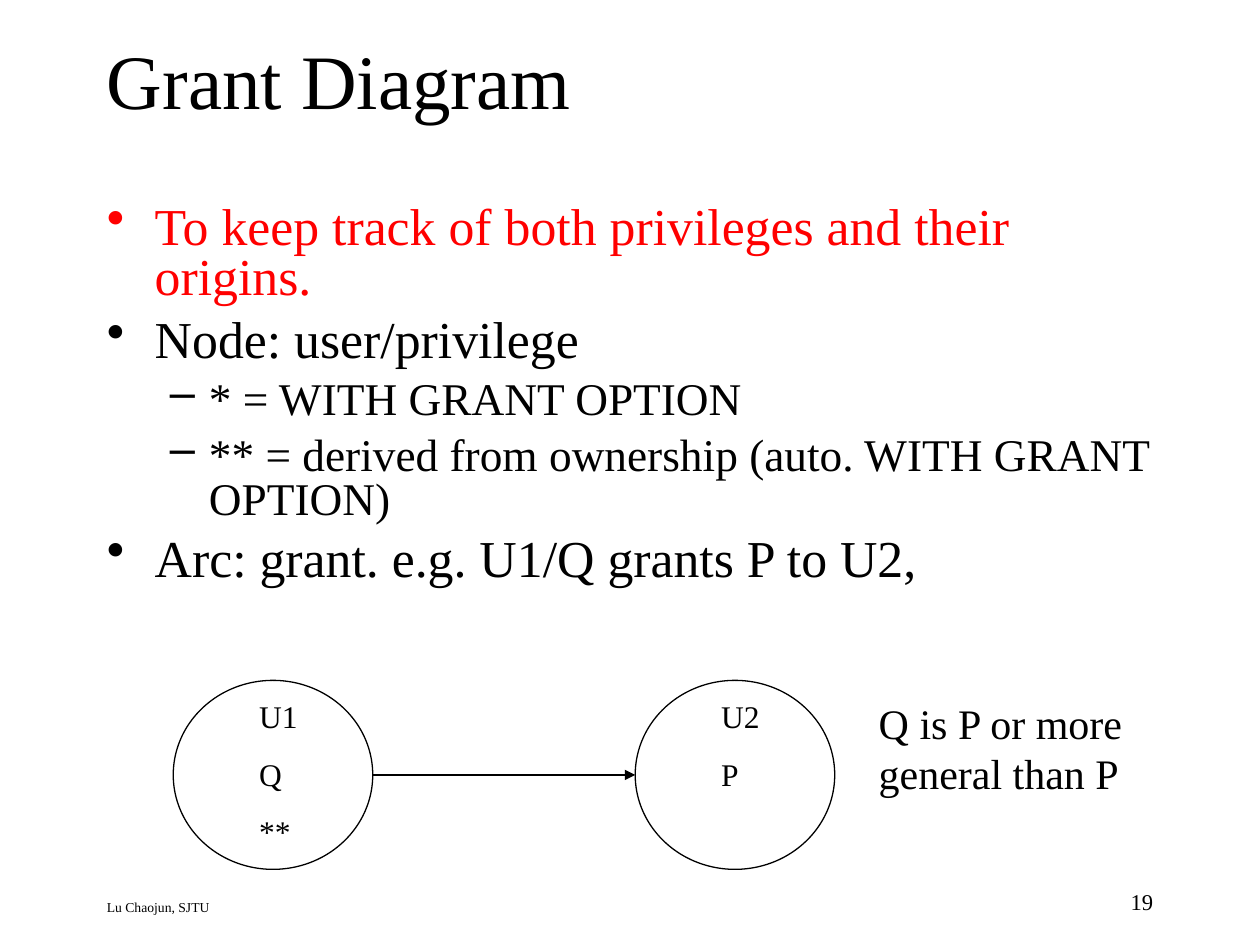
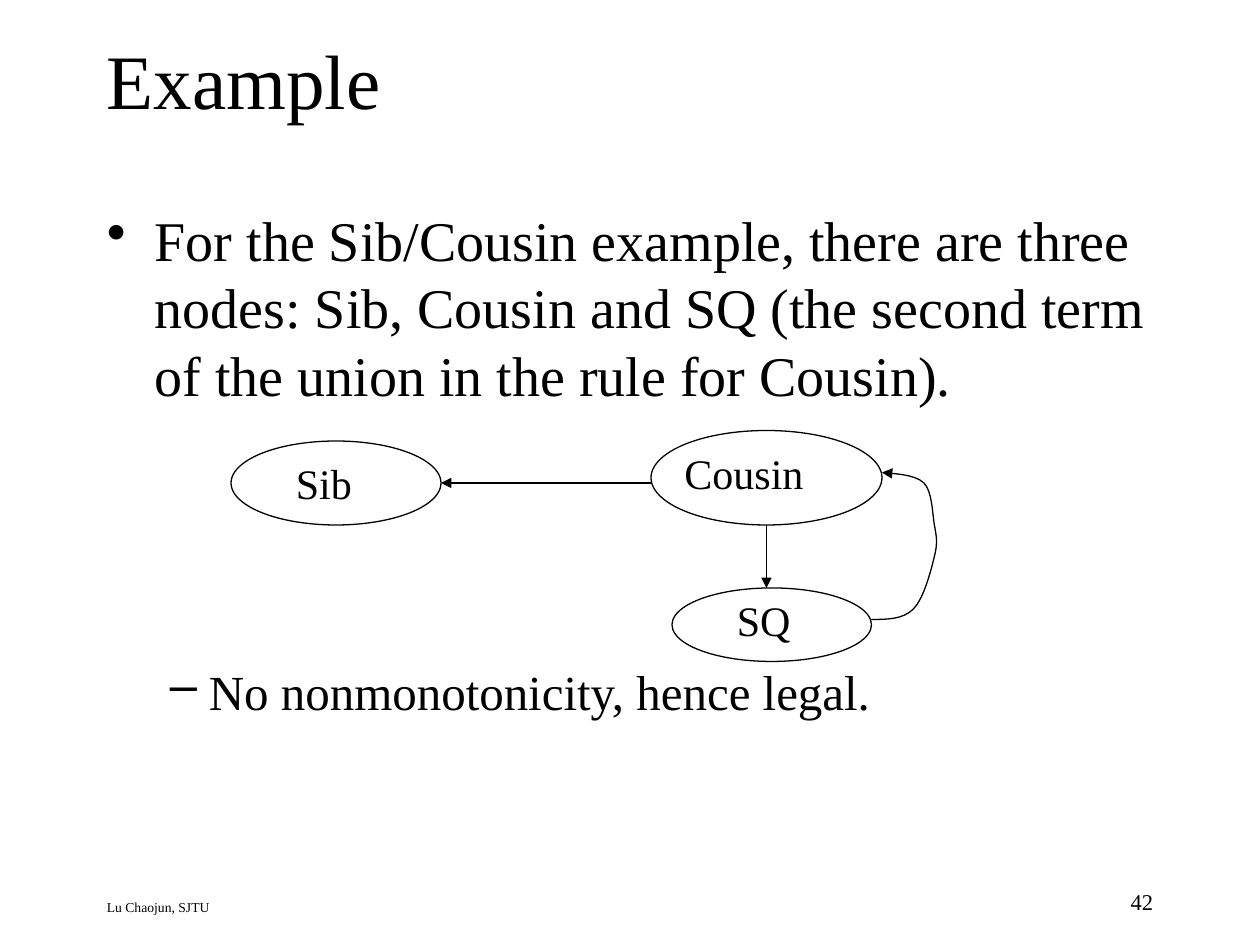
"""Build two lecture slides: a grant diagram and a dependency graph example."""
from dataclasses import dataclass

from lxml.etree import SubElement
from pptx import Presentation
from pptx.dml.color import RGBColor as RGB
from pptx.enum.shapes import MSO_CONNECTOR as CONNECTOR, MSO_SHAPE as SHAPE
from pptx.enum.text import MSO_ANCHOR as ANCHOR, PP_ALIGN as ALIGN
from pptx.oxml.ns import qn
from pptx.util import Inches, Pt

COLS, ROWS = 120, 90


@dataclass(frozen=True)
class Theme:
    """Colours, font and type sizes of the deck."""
    font: str = "Times New Roman"
    ink: RGB = RGB(0, 0, 0)
    paper: RGB = RGB(255, 255, 255)
    accent: RGB = RGB(255, 0, 0)
    title: float = 44
    label: float = 24
    small_label: float = 18
    number: float = 12.9
    footer: float = 7.8
    line: float = 0.75


THEME = Theme()
BULLETS = [
    {"char": "•", "margin": 0.38, "indent": -0.38, "before": 8},
    {"char": "–", "margin": 0.81, "indent": -0.31, "before": 7},
]


def grid(prs, *cells):
    """Turn alternating columns and rows into slide lengths."""
    units = (prs.slide_width / COLS, prs.slide_height / ROWS)
    return [round(c * units[i % 2]) for i, c in enumerate(cells)]


def set_all(obj, values):
    """Set each attribute named in a dict."""
    for name, value in values.items():
        setattr(obj, name, value)


def add_run(p, text, size, color=THEME.ink):
    """Add a run in the theme font."""
    r = p.add_run()
    r.text = text
    set_all(r.font, {"name": THEME.font, "size": Pt(size)})
    r.font.color.rgb = color


def add_frame(prs, s, box, anchor=ANCHOR.TOP):
    """Add a wrapping text box and return its text frame."""
    tf = s.shapes.add_textbox(*grid(prs, *box)).text_frame
    set_all(tf, {"word_wrap": True, "vertical_anchor": anchor})
    return tf


def paragraphs(tf, count):
    """Yield the first paragraph of a frame, then new ones."""
    for i in range(count):
        yield tf.add_paragraph() if i else tf.paragraphs[0]


def add_text(prs, s, box, lines, size, before=0, align=ALIGN.LEFT, anchor=ANCHOR.TOP):
    """Add plain lines, spaced from the second line on."""
    tf = add_frame(prs, s, box, anchor)
    for i, (p, line) in enumerate(zip(paragraphs(tf, len(lines)), lines)):
        set_all(p, {"alignment": align, "space_before": Pt(before if i else 0)})
        add_run(p, line, size)


def add_body(prs, s, rows, items, sizes, spacing=1.0):
    """Add bullets given as level, text, colour and extra space before."""
    tf = add_frame(prs, s, (9, 19, 102, rows))
    for i, (p, item) in enumerate(zip(paragraphs(tf, len(items)), items)):
        level, text, color, extra = item
        bullet = BULLETS[level]
        pPr = p._p.get_or_add_pPr()
        pPr.set("marL", str(Inches(bullet["margin"])))
        pPr.set("indent", str(Inches(bullet["indent"])))
        SubElement(pPr, qn("a:buChar")).set("char", bullet["char"])
        before = bullet["before"] + extra if i else 0
        set_all(p, {"level": level, "line_spacing": spacing, "space_before": Pt(before)})
        add_run(p, text, sizes[level], color)


def style_line(line):
    """Give a line the theme colour and width."""
    line.color.rgb = THEME.ink
    line.width = Pt(THEME.line)


def add_head(sp):
    """Put a triangle at the end of a line."""
    SubElement(sp.line._get_or_add_ln(), qn("a:tailEnd")).set("type", "triangle")


def add_node(prs, s, box, label_box, lines, size, before=0):
    """Add an ellipse with its label."""
    sp = s.shapes.add_shape(SHAPE.OVAL, *grid(prs, *box))
    sp.shadow.inherit = False
    sp.fill.solid()
    sp.fill.fore_color.rgb = THEME.paper
    style_line(sp.line)
    add_text(prs, s, label_box, lines, size, before)


def add_arrow(prs, s, start, end):
    """Add a straight arrow."""
    sp = s.shapes.add_connector(CONNECTOR.STRAIGHT, *grid(prs, *start, *end))
    style_line(sp.line)
    add_head(sp)
    SubElement(sp._element.spPr, qn("a:effectLst"))


def bezier(a, b, c, d, steps=8):
    """Return points along a cubic curve, after its start."""
    points = []
    for t in (k / steps for k in range(1, steps + 1)):
        u = 1 - t
        points.append([u**3 * w + 3 * u * u * t * x + 3 * u * t * t * y + t**3 * z
                       for w, x, y, z in zip(a, b, c, d)])
    return points


def add_curved_arrow(prs, s, knots):
    """Add an arrow along joined cubic curves."""
    points = [pt for i in range(0, len(knots) - 1, 3) for pt in bezier(*knots[i:i + 4])]
    builder = s.shapes.build_freeform(*grid(prs, *knots[0]))
    builder.add_line_segments([grid(prs, *pt) for pt in points], close=False)
    sp = builder.convert_to_shape()
    sp.shadow.inherit = False
    sp.fill.background()
    style_line(sp.line)
    add_head(sp)


def new_slide(prs, title, number):
    """Add a blank slide with footer, number and title."""
    s = prs.slides.add_slide(prs.slide_layouts[6])
    s.background.fill.solid()
    s.background.fill.fore_color.rgb = THEME.paper
    add_text(prs, s, (9, 85, 69.6, 3), ["Lu Chaojun, SJTU"], THEME.footer)
    add_text(prs, s, (86, 84, 25, 4), [str(number)], THEME.number, align=ALIGN.RIGHT)
    add_text(prs, s, (9, 0, 102, 15), [title], THEME.title, anchor=ANCHOR.MIDDLE)
    return s


def grant_slide(prs):
    """Build the grant diagram slide."""
    s = new_slide(prs, "Grant Diagram", 19)
    add_body(prs, s, 39.5, [
        (0, "To keep track of both privileges and their origins.", THEME.accent, 0),
        (0, "Node: user/privilege", THEME.ink, 0),
        (1, "* = WITH GRANT OPTION", THEME.ink, 0),
        (1, "** = derived from ownership (auto. WITH GRANT OPTION)", THEME.ink, 0),
        (0, "Arc: grant. e.g. U1/Q grants P to U2,", THEME.ink, 0),
    ], sizes=(29.6, 25.9), spacing=0.8)
    top, width, height = 64.8, 19, 18
    lefts = (16.5, 60.5)
    for left, lines in zip(lefts, (["U1", "Q", "**"], ["U2", "P"])):
        add_node(prs, s, (left, top, width, height), (left + 7, top + 1, 9, 16),
                 lines, THEME.small_label, before=11.2)
    middle = top + height / 2
    add_arrow(prs, s, (lefts[0] + width, middle), (lefts[1], middle))
    add_text(prs, s, (82.5, top + 1, 26, 11), ["Q is P or more general than P"], THEME.label)


def example_slide(prs):
    """Build the dependency graph slide."""
    s = new_slide(prs, "Example", 42)
    add_body(prs, s, 61, [
        (0, "For the Sib/Cousin example, there are three nodes: Sib, Cousin and SQ "
            "(the second term of the union in the rule for Cousin).", THEME.ink, 0),
        (1, "No nonmonotonicity, hence legal.", THEME.ink, 138),
    ], sizes=(32, 28))
    for name, box, label_box in (
        ("Sib", (22, 42, 20, 8), (27, 43, 15, 6)),
        ("Cousin", (62, 41, 22, 9), (64, 42, 16, 6)),
        ("SQ", (64, 56, 19, 7), (69, 56, 13, 6)),
    ):
        add_node(prs, s, box, label_box, [name], THEME.label)
    add_arrow(prs, s, (73, 50), (73, 56))
    add_arrow(prs, s, (62, 46), (42, 46))
    add_curved_arrow(prs, s, [
        (83, 59), (84.5, 59), (86, 59), (87, 58), (88, 57), (88.67, 54.33), (89, 53),
        (89.33, 51.67), (89.2, 51.1), (89, 50), (88.8, 48.9), (88.8, 46.8), (88, 46),
        (87.1, 45.1), (84.7, 45.1), (84, 45),
    ])


def main():
    """Build and save the deck."""
    prs = Presentation()
    set_all(prs, {"slide_width": Inches(10), "slide_height": Inches(7.5)})
    grant_slide(prs)
    example_slide(prs)
    prs.save("out.pptx")


if __name__ == "__main__":
    main()
